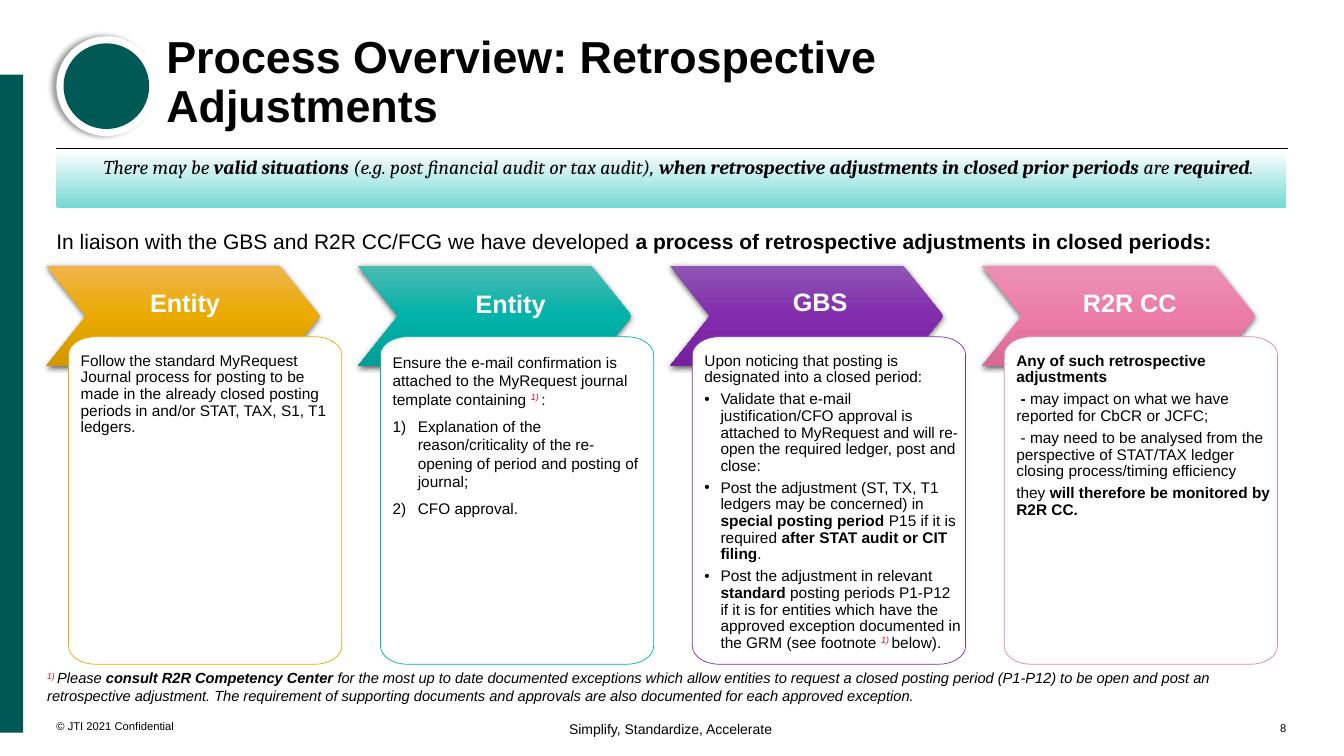
from copy import deepcopy
from lxml.etree import SubElement
from pptx import Presentation
from pptx.dml.color import RGBColor
from pptx.enum.shapes import MSO_CONNECTOR, MSO_SHAPE
from pptx.enum.text import MSO_ANCHOR, MSO_AUTO_SIZE, PP_ALIGN
from pptx.oxml.ns import qn
from pptx.util import Inches, Pt

BLACK = RGBColor(0x00, 0x00, 0x00)
WHITE = RGBColor(0xFF, 0xFF, 0xFF)
RED = RGBColor(0xFF, 0x00, 0x00)
DARK_GREEN = RGBColor(0x00, 0x58, 0x55)
DISC_GREEN = RGBColor(0x00, 0x59, 0x55)
AQUA = RGBColor(0x74, 0xD9, 0xD5)
AMBER = [RGBColor(0xF0, 0xB4, 0x4B), RGBColor(0xEA, 0xAA, 0x00), RGBColor(0xD0, 0x97, 0x00)]
TEAL = [RGBColor(0x4B, 0xBB, 0xB3), RGBColor(0x00, 0xB2, 0xA9), RGBColor(0x00, 0x9E, 0x96)]
PURPLE = [RGBColor(0x8F, 0x55, 0xB3), RGBColor(0x82, 0x2B, 0xAD), RGBColor(0x75, 0x21, 0x9F)]
PINK = [RGBColor(0xEB, 0x92, 0xB3), RGBColor(0xEC, 0x7D, 0xA8), RGBColor(0xD8, 0x69, 0x94)]
PURPLE_EDGE = RGBColor(0x80, 0x31, 0xA7)
PINK_EDGE = RGBColor(0xE7, 0x82, 0xA9)


def write(shape, paragraphs, size, font="Arial", color=BLACK, style="", align=PP_ALIGN.LEFT,
          anchor=MSO_ANCHOR.TOP, margins=(0, 0, 0, 0), spacing=1.0, before=0, after=0, indent=0.16):
    frame = shape.text_frame
    frame.word_wrap = True
    frame.auto_size = MSO_AUTO_SIZE.NONE
    frame.vertical_anchor = anchor
    frame.margin_left, frame.margin_top, frame.margin_right, frame.margin_bottom = map(Inches, margins)
    for index, (bullet, spans) in enumerate(paragraphs):
        para = frame.add_paragraph() if index else frame.paragraphs[0]
        if bullet:
            properties = para._p.get_or_add_pPr()
            properties.set("marL", str(Inches(indent)))
            properties.set("indent", str(-Inches(indent)))
            SubElement(properties, qn("a:buFont"), typeface="Arial")
            if bullet == "number":
                SubElement(properties, qn("a:buAutoNum"), type="arabicParenR")
            else:
                SubElement(properties, qn("a:buChar"), char=bullet)
        para.alignment = align
        para.line_spacing = spacing
        para.space_before = Pt(before if index else 0)
        para.space_after = Pt(after)
        for text, span_style in spans:
            span = para.add_run()
            span.text = text
            is_note = span_style == "note"
            span.font.name = font
            span.font.size = Pt(size)
            span.font.bold = span_style == "bold"
            span.font.italic = is_note or style == "italic"
            span.font.color.rgb = RED if is_note else color
            if is_note:
                span._r.get_or_add_rPr().set("baseline", "30000")


def paint(shape, colors, edge=None, shadow=None):
    if len(colors) == 1:
        shape.fill.solid()
        shape.fill.fore_color.rgb = colors[0]
    else:
        shape.fill.gradient()
        shape.fill.gradient_angle = 270
        stop_list = shape._element.spPr.find(qn("a:gradFill")).find(qn("a:gsLst"))
        for extra in colors[2:]:
            stop_list.insert(1, deepcopy(stop_list[0]))
        for index, stop in enumerate(shape.fill.gradient_stops):
            stop.color.rgb = colors[index]
            stop.position = index / (len(colors) - 1)
    if edge is None:
        shape.line.fill.background()
    else:
        shape.line.color.rgb = edge
        shape.line.width = Pt(0.5)
    shape.shadow.inherit = False
    if shadow:
        alpha, blur, distance, angle = shadow
        effects = shape._element.spPr.find(qn("a:effectLst"))
        outer = SubElement(effects, qn("a:outerShdw"), blurRad=str(Pt(blur)), dist=str(Pt(distance)),
                           dir=str(angle * 60000), algn="ctr", rotWithShape="0")
        tint = SubElement(outer, qn("a:srgbClr"), val="000000")
        SubElement(tint, qn("a:alpha"), val=str(alpha * 1000))


deck = Presentation()
deck.slide_width, deck.slide_height = Inches(13.33), Inches(7.5)
page = deck.slides.add_slide(deck.slide_layouts[5])
shapes = page.shapes

title = shapes.title
title.left, title.top, title.width, title.height = map(Inches, (1.65, 0.23, 9.74, 1.08))
write(title, [("", [("Process Overview: Retrospective Adjustments", "bold")])], 32,
      anchor=MSO_ANCHOR.BOTTOM, spacing=0.9)

rule = shapes.add_connector(MSO_CONNECTOR.STRAIGHT, Inches(0.56), Inches(1.47), Inches(12.77), Inches(1.47))
rule.line.color.rgb = BLACK
rule.line.width = Pt(0.75)
SubElement(rule._element.spPr, qn("a:effectLst"))

for kind, area, colors, shadow in [
    (MSO_SHAPE.RECTANGLE, (0, 0.74, 0.23, 6.53), [DARK_GREEN], None),
    (MSO_SHAPE.OVAL, (0.56, 0.36, 0.99, 0.99), [WHITE], (40, 4, 3, 180)),
    (MSO_SHAPE.OVAL, (0.63, 0.43, 0.85, 0.85), [DISC_GREEN], None),
]:
    paint(shapes.add_shape(kind, *map(Inches, area)), colors, shadow=shadow)

banner = shapes.add_shape(MSO_SHAPE.ROUNDED_RECTANGLE, Inches(0.56), Inches(1.49), Inches(12.2), Inches(0.57))
banner.adjustments[0] = 0.04
paint(banner, [WHITE, AQUA])

footnote = shapes.add_shape(MSO_SHAPE.RECTANGLE, Inches(0.37), Inches(6.59), Inches(12.39), Inches(0.45))
paint(footnote, [WHITE])
write(footnote, [("", [
    ("1) ", "note"), ("Please ", ""), ("consult R2R Competency Center ", "bold"),
    ("for the most up to date documented exceptions which allow entities to request a closed posting period "
     "(P1-P12) to be open and post an retrospective adjustment. The requirement of supporting documents and "
     "approvals are also documented for each approved exception.", ""),
])], 10.5, style="italic", margins=(0.1, 0.05, 0.1, 0.05))

for area, spans, text_format in [
    ((0.56, 6.87, 1.97, 0.4), [("© JTI 2021 Confidential", "")], dict(size=8, anchor=MSO_ANCHOR.BOTTOM)),
    ((5.14, 7.15, 3.06, 0.3), [("Simplify, Standardize, Accelerate ", "")],
     dict(size=10, align=PP_ALIGN.CENTER)),
    ((12.33, 6.89, 0.43, 0.4), [("8", "")], dict(size=8, align=PP_ALIGN.RIGHT, anchor=MSO_ANCHOR.BOTTOM)),
    ((0.56, 2.27, 12.2, 0.33), [
        ("In liaison with the GBS and R2R CC/FCG we have developed ", ""),
        ("a process of retrospective adjustments in closed periods:", "bold")], dict(size=15)),
    ((0.93, 1.49, 11.88, 0.57), [
        ("There may be ", ""), ("valid situations ", "bold"),
        ("(e.g. post financial audit or tax audit), ", ""),
        ("when retrospective adjustments in closed prior periods", "bold"),
        (" are ", ""), ("required", "bold"), (".", "")],
     dict(size=14, font="Cambria", style="italic", margins=(0.1, 0.05, 0.1, 0.05))),
]:
    write(shapes.add_textbox(*map(Inches, area)), [("", spans)], **text_format)

tight = dict(spacing=0.9, after=3.85)
steps = [
    ("Entity", (0.98, 2.85), AMBER, AMBER[1], tight, [
        ("", [("Follow the standard MyRequest Journal process for posting to be made in the already closed "
               "posting periods in and/or STAT, TAX, S1, T1 ledgers.", "")])]),
    ("Entity", (4.21, 2.86), TEAL, TEAL[1], dict(before=6, indent=0.25), [
        ("", [("Ensure the e-mail confirmation is attached to the MyRequest journal template containing ", ""),
              ("1) ", "note"), (":", "")]),
        ("number", [("Explanation of the reason/criticality of the re-opening of period and posting of "
                     "journal;", "")]),
        ("number", [("CFO approval.", "")])]),
    ("GBS", (7.28, 2.84), PURPLE, PURPLE_EDGE, tight, [
        ("", [("Upon noticing that posting is designated into a closed period:", "")]),
        ("•", [("Validate that e-mail justification/CFO approval is attached to MyRequest and will re-open "
                "the required ledger, post and close:", "")]),
        ("•", [("Post the adjustment (ST, TX, T1 ledgers may be concerned) in ", ""),
               ("special posting period ", "bold"), ("P15 if it is required ", ""),
               ("after STAT audit or CIT filing", "bold"), (".", "")]),
        ("•", [("Post the adjustment in relevant ", ""), ("standard", "bold"),
               (" posting periods P1-P12 if it is for entities which have the approved exception documented "
                "in the GRM (see footnote ", ""), ("1) ", "note"), ("below).", "")])]),
    ("R2R CC", (10.35, 2.85), PINK, PINK_EDGE, tight, [
        ("", [("Any of such retrospective adjustments", "bold")]),
        ("", [(" - ", "bold"), ("may impact on what we have reported for CbCR or JCFC;", "")]),
        ("", [(" - may need to be analysed from the perspective of STAT/TAX ledger closing process/timing "
               "efficiency", "")]),
        ("", [("they", ""), (" will therefore be monitored by R2R CC.", "bold")])]),
]
STEP_PITCH = 9.28 / 3
STEP_WIDTH, CARD_TOP, CARD_BOTTOM = 2.71, 3.34, 6.59
CORNER_X, CORNER_Y, CURVE = 0.27, 0.18, 0.55

for index, (name, label_place, colors, edge, text_format, paragraphs) in enumerate(steps):
    left = 0.46 + index * STEP_PITCH
    chevron = shapes.add_shape(MSO_SHAPE.CHEVRON, Inches(left), Inches(2.64), Inches(STEP_WIDTH), Inches(0.99))
    chevron.adjustments[0] = 0.4
    paint(chevron, colors, shadow=(63, 4.5, 1.5, 90))

    card_left, card_right = left + 0.22, left + 0.22 + STEP_WIDTH
    near, far = card_left + CORNER_X, card_right - CORNER_X
    high, low = CARD_TOP + CORNER_Y, CARD_BOTTOM - CORNER_Y
    outline = [(card_left, high), (near, CARD_TOP), (far, CARD_TOP), (card_right, high),
               (card_right, low), (far, CARD_BOTTOM), (near, CARD_BOTTOM), (card_left, low), (card_left, high)]
    corners = [(Inches(x), Inches(y)) for x, y in outline]
    builder = shapes.build_freeform(*corners[0])
    builder.add_line_segments(corners[1:], close=True)
    card = builder.convert_to_shape()
    points = [(int(point.get("x")), int(point.get("y"))) for point in card._element.spPr.iter(qn("a:pt"))]
    segments = list(card._element.spPr.iter(qn("a:lnTo")))
    for turn in range(0, 8, 2):
        start, end = points[turn], points[turn + 1]
        tip = (start[0], end[1]) if turn % 4 == 0 else (end[0], start[1])
        curve = SubElement(segments[turn].getparent(), qn("a:cubicBezTo"))
        for anchor, pull in [(start, CURVE), (end, CURVE), (end, 0)]:
            x, y = (round(here + pull * (there - here)) for here, there in zip(anchor, tip))
            SubElement(curve, qn("a:pt"), x=str(x), y=str(y))
        segments[turn].getparent().replace(segments[turn], curve)
    paint(card, [WHITE], edge=edge)
    write(card, paragraphs, 11, margins=(0.12, 0.16, 0.04, 0.08), **text_format)

    label = shapes.add_textbox(*map(Inches, label_place), Inches(1.71), Inches(0.5))
    write(label, [("", [(name, "bold")])], 18, color=WHITE, align=PP_ALIGN.CENTER)

deck.save("out.pptx")
